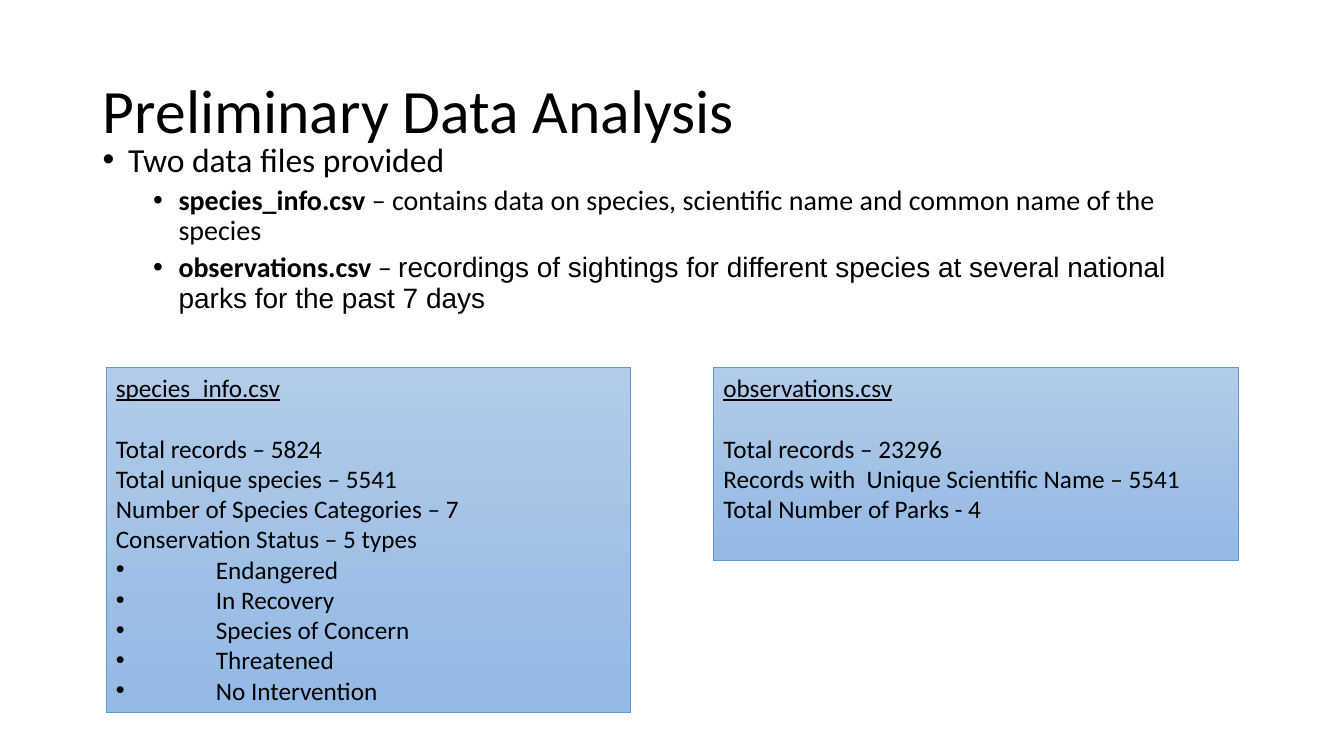
from pptx import Presentation
from pptx.dml.color import RGBColor
from pptx.enum import shapes, text
from pptx.oxml import parse_xml
from pptx.oxml.ns import nsdecls
from pptx.util import Cm, Pt

BLACK = RGBColor(0x00, 0x00, 0x00)
BORDER = RGBColor(0x5B, 0x9B, 0xD5)
LIGHT_BLUE = RGBColor(0xB1, 0xCB, 0xE9)
MID_BLUE = RGBColor(0x93, 0xB9, 0xE4)

FILE_NOTES = [
    [("species_info.csv ", {"bold": True}),
     ("– contains data on species, scientific name and common name of the species", {})],
    [("observations.csv ", {"bold": True}), ("– ", {}),
     ("recordings of sightings for different species at several national parks "
      "for the past 7 days", {"font": "Arial"})],
]
SPECIES_FACTS = [
    "Total records – 5824",
    "Total unique species – 5541",
    "Number of Species Categories – 7",
    "Conservation Status – 5 types",
]
STATUSES = ["Endangered", "In Recovery", "Species of Concern", "Threatened", "No Intervention"]
OBSERVATION_FACTS = [
    "Total records – 23296",
    "Records with  Unique Scientific Name – 5541",
    "Total Number of Parks - 4",
]


class SlideBuilder:
    """Holds the text style and the slide being filled."""

    font = "Calibri"
    box_top, box_width = Cm(9.25), Cm(13.23)

    def __init__(self, slide):
        self.slide = slide

    def add_run(self, paragraph, content, size, font=None, bold=False, underline=False):
        run = paragraph.add_run()
        run.text = content
        run.font.name = font or self.font
        run.font.size = Pt(size)
        run.font.bold = bold
        run.font.underline = underline
        run.font.color.rgb = BLACK

    def next_paragraph(self, frame):
        """Return the empty first paragraph, or a new one after the others."""
        first = frame.paragraphs[0]
        paragraph = first if not first.runs else frame.add_paragraph()
        paragraph.alignment = text.PP_ALIGN.LEFT
        return paragraph

    def set_bullet(self, paragraph, margin, hanging):
        properties = paragraph._p.get_or_add_pPr()
        properties.set("marL", str(margin))
        properties.set("indent", str(-hanging))
        properties.append(parse_xml(f'<a:buFont {nsdecls("a")} typeface="Arial"/>'))
        properties.append(parse_xml(f'<a:buChar {nsdecls("a")} char="•"/>'))

    def title(self, content):
        title = self.slide.shapes.title
        title.left, title.top, title.width, title.height = Cm(2.34), Cm(1.02), Cm(29.21), Cm(3.68)
        frame = title.text_frame
        frame.auto_size = text.MSO_AUTO_SIZE.NONE
        frame.vertical_anchor = text.MSO_ANCHOR.MIDDLE
        paragraph = self.next_paragraph(frame)
        paragraph.line_spacing = 0.9
        self.add_run(paragraph, content, 44)

    def outline(self, heading, notes):
        box = self.slide.shapes.add_textbox(Cm(2.34), Cm(3.48), Cm(29.21), Cm(5.5))
        frame = box.text_frame
        frame.word_wrap = True
        levels = [([(heading, {})], 24, 10, 0.64)] + [(runs, 20, 5, 1.91) for runs in notes]
        for runs, size, space, margin in levels:
            paragraph = self.next_paragraph(frame)
            paragraph.line_spacing = 0.9
            paragraph.space_before = Pt(space)
            self.set_bullet(paragraph, Cm(margin), Cm(0.64))
            for content, style in runs:
                self.add_run(paragraph, content, size, **style)

    def fact_box(self, left, height, heading, facts, bullets=()):
        box = self.slide.shapes.add_shape(
            shapes.MSO_SHAPE.RECTANGLE, left, self.box_top, self.box_width, height)
        box.shadow.inherit = False
        box.fill.gradient()
        box.fill.gradient_angle = 270
        for stop, color in zip(box.fill.gradient_stops, (LIGHT_BLUE, MID_BLUE)):
            stop.color.rgb = color
        box.line.color.rgb = BORDER
        box.line.width = Pt(0.5)
        frame = box.text_frame
        frame.word_wrap = True
        frame.vertical_anchor = text.MSO_ANCHOR.TOP
        paragraph = self.next_paragraph(frame)
        paragraph.space_after = Pt(22)
        self.add_run(paragraph, heading, 18, underline=True)
        for fact in facts:
            self.add_run(self.next_paragraph(frame), fact, 18)
        for bullet in bullets:
            paragraph = self.next_paragraph(frame)
            self.set_bullet(paragraph, Cm(2.52), Cm(2.52))
            self.add_run(paragraph, bullet, 18)


def main():
    presentation = Presentation()
    presentation.slide_width, presentation.slide_height = Cm(33.87), Cm(19.05)
    title_only = presentation.slide_layouts[5]
    builder = SlideBuilder(presentation.slides.add_slide(title_only))
    builder.title("Preliminary Data Analysis")
    builder.outline("Two data files provided", FILE_NOTES)
    builder.fact_box(Cm(2.67), Cm(8.71), "species_info.csv", SPECIES_FACTS, STATUSES)
    builder.fact_box(Cm(17.98), Cm(4.88), "observations.csv", OBSERVATION_FACTS)
    presentation.save("out.pptx")


if __name__ == "__main__":
    main()
